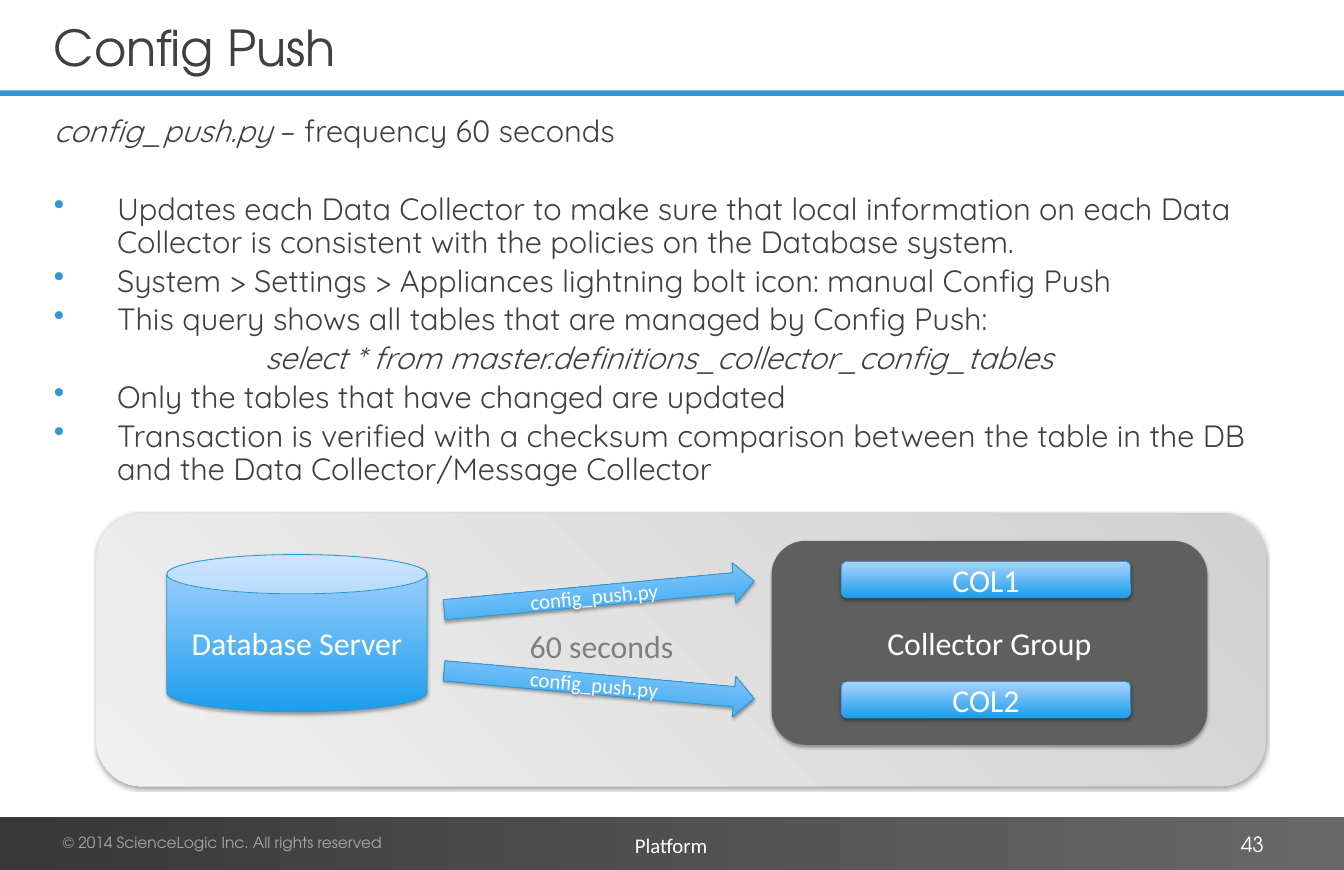
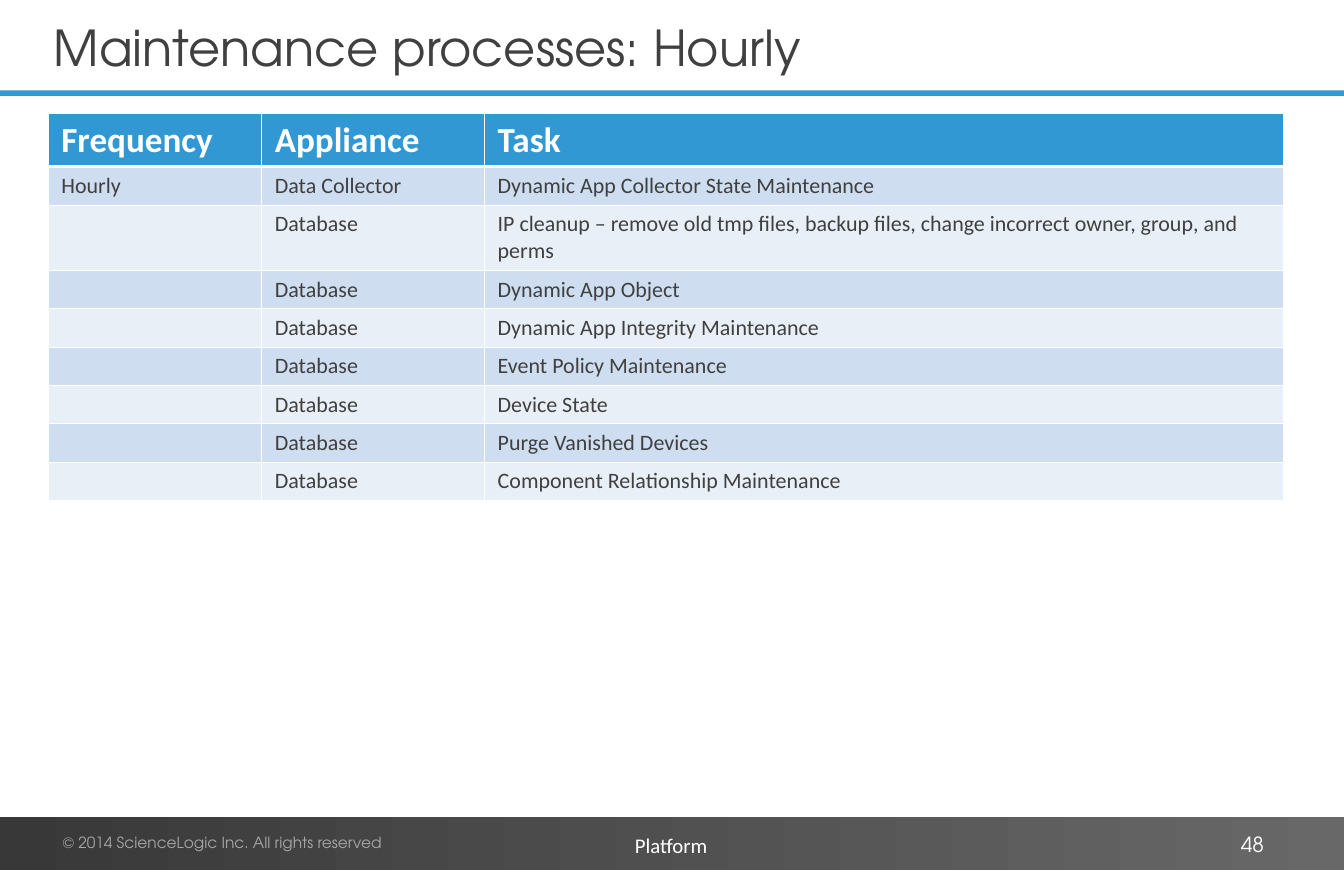
from lxml.etree import SubElement
from pptx import Presentation
from pptx.dml.color import RGBColor
from pptx.enum.shapes import MSO_SHAPE as SHAPE
from pptx.enum.text import MSO_ANCHOR as ANCHOR, PP_ALIGN as ALIGN
from pptx.oxml import parse_xml
from pptx.oxml.ns import nsdecls, qn
from pptx.util import Cm, Pt

WHITE = RGBColor(0xFF, 0xFF, 0xFF)
INK = RGBColor(0x40, 0x40, 0x40)
GREY = RGBColor(0x7F, 0x7F, 0x7F)
PALE_GREY = RGBColor(0xA6, 0xA6, 0xA6)
SLATE = RGBColor(0x5F, 0x5F, 0x5F)
BLUE = RGBColor(0x32, 0x98, 0xD4)
EDGE_BLUE = RGBColor(0x2D, 0x96, 0xD3)
BAND_DARK = RGBColor(0xCE, 0xDD, 0xEF)
BAND_LIGHT = RGBColor(0xE8, 0xEF, 0xF7)

# Gradients: first colour, last colour, counter-clockwise angle
FOOTER_FADE = (RGBColor(0x38, 0x38, 0x38), RGBColor(0x68, 0x68, 0x68), 0)
PANEL_FADE = (RGBColor(0xD1, 0xD1, 0xD1), RGBColor(0xF0, 0xF0, 0xF0), 225)
BLUE_FADE = (RGBColor(0x1A, 0x9E, 0xEC), RGBColor(0xAA, 0xD3, 0xFF), 90)

TITLE_FONT = "TeX Gyre Adventor"
BODY_FONT = "Quicksand"
LABEL_FONT = "Calibri"

WIDTH, HEIGHT = 43.18, 27.94
INSET_X, INSET_Y = Cm(0.41), Cm(0.2)


class Deck:
    """Holds the shared style and the slide being filled."""

    def __init__(self):
        self.prs = Presentation()
        self.prs.slide_width, self.prs.slide_height = Cm(WIDTH), Cm(HEIGHT)
        self.s = None

    def new_slide(self, title, number):
        self.s = self.prs.slides.add_slide(self.prs.slide_layouts[6])
        self.shape(SHAPE.RECTANGLE, (0, 2.9, WIDTH, 0.18), BLUE)
        self.shape(SHAPE.RECTANGLE, (0, 26.24, WIDTH, 1.7), FOOTER_FADE)
        self.text((1.6, 26.57, 12.7, 1.02),
                  "© 2014 ScienceLogic Inc. All rights reserved",
                  14, PALE_GREY, TITLE_FONT)
        self.text((19.99, 26.54, 3.2, 1.22), "Platform", 19, WHITE)
        self.text((30.94, 26.57, 10.08, 1.09), number, 19, WHITE, TITLE_FONT,
                  ANCHOR.MIDDLE, ALIGN.RIGHT)
        self.text((1.32, 0.03, 37.72, 2.97), title, 45, INK, TITLE_FONT,
                  ANCHOR.MIDDLE)

    @staticmethod
    def run(p, text, size, color, font=LABEL_FONT, bold=False, italic=False):
        r = p.add_run()
        r.text = text
        f = r.font
        f.name, f.size, f.bold, f.italic = font, Pt(size), bold, italic
        f.color.rgb = color

    @staticmethod
    def frame(sp, anchor=ANCHOR.TOP):
        """Gives the text frame of sp the common insets and wrapping."""
        tf = sp.text_frame
        tf.word_wrap = True
        tf.vertical_anchor = anchor
        tf.margin_left = tf.margin_right = INSET_X
        tf.margin_top = tf.margin_bottom = INSET_Y
        return tf

    def text(self, box, text, size, color, font=LABEL_FONT,
             anchor=ANCHOR.TOP, align=ALIGN.LEFT):
        tf = self.frame(self.s.shapes.add_textbox(*map(Cm, box)), anchor)
        p = tf.paragraphs[0]
        p.alignment = align
        self.run(p, text, size, color, font)

    def shape(self, kind, box, fill, label="", size=29, line=None,
              shadow=False, rotation=0):
        sp = self.s.shapes.add_shape(kind, *map(Cm, box))
        sp.rotation = rotation
        if isinstance(fill, RGBColor):
            sp.fill.solid()
            sp.fill.fore_color.rgb = fill
        else:
            first, last, angle = fill
            sp.fill.gradient()
            sp.fill.gradient_angle = angle
            for stop, color in zip(sp.fill.gradient_stops, (first, last)):
                stop.color.rgb = color
        if line is None:
            sp.line.fill.background()
        else:
            sp.line.color.rgb = line
            sp.line.width = Pt(0.75)
        sp.shadow.inherit = False
        if shadow:
            self.drop_shadow(sp)
        if label:
            p = self.frame(sp, ANCHOR.MIDDLE).paragraphs[0]
            p.alignment = ALIGN.CENTER
            self.run(p, label, size, WHITE)

    @staticmethod
    def drop_shadow(sp):
        effects = sp._element.spPr.find(qn("a:effectLst"))
        effects.append(parse_xml(
            f'<a:outerShdw {nsdecls("a")} blurRad="{Pt(3.1)}" '
            f'dist="{Pt(1.8)}" dir="5400000" rotWithShape="0">'
            '<a:srgbClr val="000000"><a:alpha val="35000"/></a:srgbClr>'
            '</a:outerShdw>'))

    def blue_shape(self, kind, box, label, size=29, rotation=0):
        self.shape(kind, box, BLUE_FADE, label, size, EDGE_BLUE, True, rotation)

    @staticmethod
    def bullet(p):
        pPr = p._p.get_or_add_pPr()
        pPr.set("marL", str(Cm(2.03)))
        pPr.set("indent", str(-Cm(2.03)))
        color = SubElement(pPr, qn("a:buClr"))
        SubElement(color, qn("a:srgbClr")).set("val", str(BLUE))
        SubElement(pPr, qn("a:buChar")).set("char", "•")

    def body(self, box, paragraphs):
        """Each paragraph is (style, space before, [(text, italic), ...])."""
        tf = self.frame(self.s.shapes.add_textbox(*map(Cm, box)))
        for i, (style, space, runs) in enumerate(paragraphs):
            p = tf.add_paragraph() if i else tf.paragraphs[0]
            if style == "bullet":
                self.bullet(p)
            elif style == "query":
                p.alignment = ALIGN.CENTER
            p.line_spacing = 0.9
            p.space_before = Pt(space)
            for text, italic in runs:
                self.run(p, text, 28, INK, BODY_FONT, italic=italic)

    @staticmethod
    def borders(cell, top, bottom):
        tcPr = cell._tc.get_or_add_tcPr()
        sides = (("lnL", 1), ("lnR", 1), ("lnT", top), ("lnB", bottom))
        for i, (side, width) in enumerate(sides):
            tcPr.insert(i, parse_xml(
                f'<a:{side} {nsdecls("a")} w="{Pt(width)}"><a:solidFill>'
                f'<a:srgbClr val="{WHITE}"/></a:solidFill></a:{side}>'))

    def table(self, left, top, widths, heights, rows):
        table = self.s.shapes.add_table(
            len(rows), len(widths), Cm(left), Cm(top),
            Cm(sum(widths)), Cm(sum(heights))).table
        for column, width in zip(table.columns, widths):
            column.width = Cm(width)
        for i, (row, height, texts) in enumerate(zip(table.rows, heights, rows)):
            row.height = Cm(height)
            header = i == 0
            fill = BLUE if header else BAND_DARK if i % 2 else BAND_LIGHT
            for cell, text in zip(row.cells, texts):
                cell.fill.solid()
                cell.fill.fore_color.rgb = fill
                cell.margin_left = cell.margin_right = Cm(0.42)
                cell.margin_top = cell.margin_bottom = Cm(0.18)
                self.borders(cell, 3 if i == 1 else 1, 3 if header else 1)
                if text:
                    self.run(cell.text_frame.paragraphs[0], text,
                             32 if header else 20,
                             WHITE if header else INK, bold=header)


def config_push(deck):
    deck.new_slide("Config Push", "43")
    deck.shape(SHAPE.ROUNDED_RECTANGLE, (3.1, 16.46, 37.57, 8.79), PANEL_FADE,
               shadow=True)
    gap = 5
    deck.body((1.32, 3.51, 39.7, 12.93), [
        ("plain", 0, [("config_push.py ", True),
                      ("– frequency 60 seconds", False)]),
        ("bullet", 41, [("Updates each Data Collector to make sure that local "
                         "information on each Data Collector is consistent "
                         "with the policies on the Database system.", False)]),
        ("bullet", gap, [("System > Settings > Appliances lightning bolt icon: "
                          "manual Config Push", False)]),
        ("bullet", gap, [("This query shows all tables that are managed by "
                          "Config Push:", False)]),
        ("query", gap, [("select * from master.definitions_collector_"
                         "config_tables", True)]),
        ("bullet", gap, [("Only the tables that have changed are updated",
                          False)]),
        ("bullet", gap, [("Transaction is verified with a checksum comparison "
                          "between the table in the DB and the Data "
                          "Collector/Message Collector", False)]),
    ])
    deck.blue_shape(SHAPE.CAN, (5.36, 17.81, 8.36, 5.05), "Database Server")
    deck.text((16.61, 19.91, 7.14, 1.65), "60 seconds", 29, GREY)
    deck.shape(SHAPE.ROUNDED_RECTANGLE, (24.79, 17.37, 14, 6.55), SLATE,
               "Collector Group", shadow=True)
    for label, top in (("COL1", 18.03), ("COL2", 21.89)):
        deck.blue_shape(SHAPE.ROUNDED_RECTANGLE, (27.03, top, 9.3, 1.17), label)
    for top, rotation in ((18.47, -5.3), (21.34, 5.1)):
        deck.blue_shape(SHAPE.RIGHT_ARROW, (14.25, top, 10, 1.3),
                        "config_push.py", 19, rotation)


def hourly_maintenance(deck):
    deck.new_slide("Maintenance processes: Hourly", "48")
    database_tasks = (
        "IP cleanup – remove old tmp files, backup files, change incorrect "
        "owner, group, and perms",
        "Dynamic App Object",
        "Dynamic App Integrity Maintenance",
        "Event Policy Maintenance",
        "Device State",
        "Purge Vanished Devices",
        "Component Relationship Maintenance",
    )
    rows = [("Frequency", "Appliance", "Task"),
            ("Hourly", "Data Collector",
             "Dynamic App Collector State Maintenance")]
    rows += [("", "Database", task) for task in database_tasks]
    heights = [1.73, 1.23, 2.1] + [1.23] * (len(rows) - 3)
    deck.table(1.55, 3.63, (6.86, 7.16, 25.68), heights, rows)


def main():
    deck = Deck()
    config_push(deck)
    hourly_maintenance(deck)
    deck.prs.save("out.pptx")


if __name__ == "__main__":
    main()
